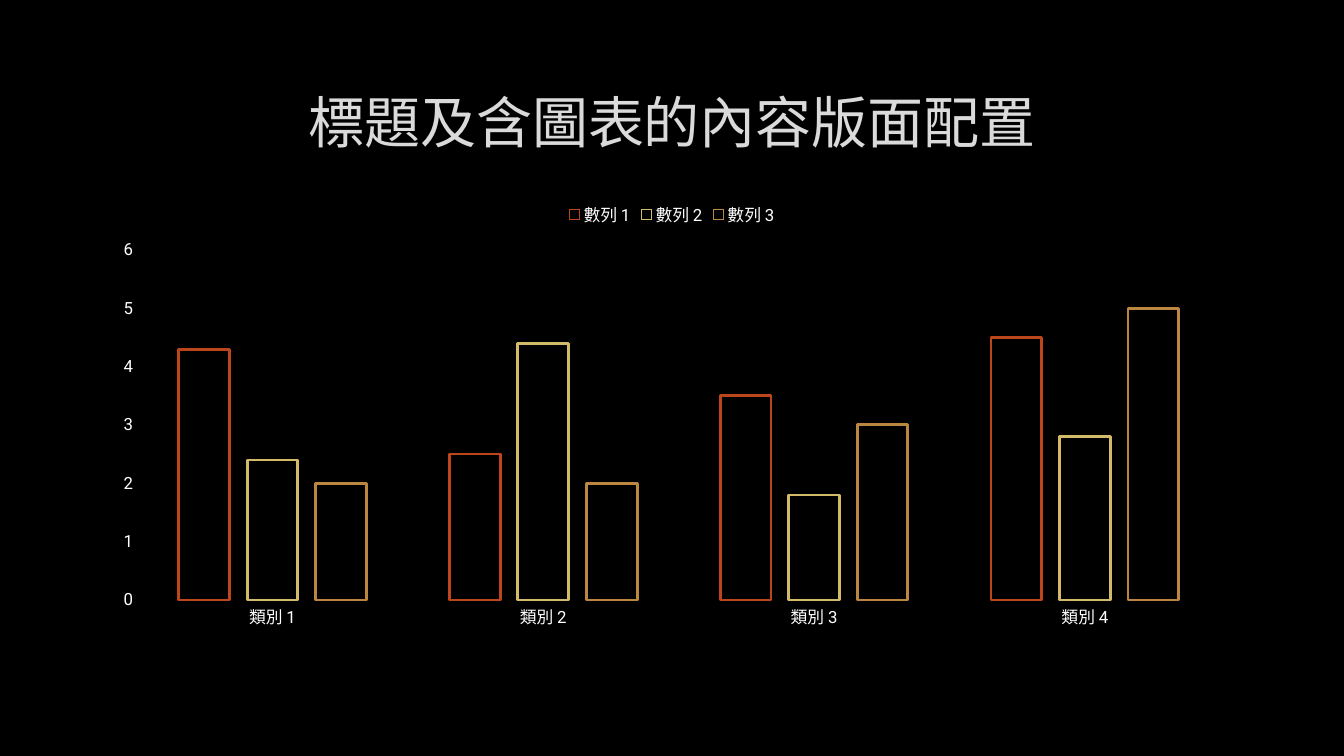
from dataclasses import dataclass
from lxml.etree import SubElement
from pptx import Presentation
from pptx.chart.data import CategoryChartData
from pptx.dml.color import RGBColor as Rgb
from pptx.enum.chart import (XL_CHART_TYPE as ChartType, XL_LEGEND_POSITION as LegendPosition,
                             XL_TICK_MARK as TickMark)
from pptx.enum.text import MSO_ANCHOR as Anchor, PP_ALIGN as Align
from pptx.oxml.ns import qn
from pptx.util import Inches, Pt


@dataclass(frozen=True)
class Theme:
    background: str = "000000"
    title: str = "DADADA"
    outline: str = "404040"
    label: str = "FFFFFF"
    title_font: str = "Lato"
    chart_font: str = "Roboto"
    title_size: int = 40
    label_size: int = 12
    bar_line: float = 2


@dataclass(frozen=True)
class Area:
    """A box given as shares of the slide's width and height."""
    left: float
    top: float
    width: float
    height: float

    def place(self) -> tuple[int, int, int, int]:
        return (int(self.left * deck.slide_width), int(self.top * deck.slide_height),
                int(self.width * deck.slide_width), int(self.height * deck.slide_height))


@dataclass(frozen=True)
class BarSeries:
    name: str
    values: tuple[float, ...]
    line: str


THEME = Theme()
MARGIN = 0.075
CONTENT_WIDTH = 1 - 2 * MARGIN
TITLE_AREA = Area(MARGIN, 0.09, CONTENT_WIDTH, 0.14)
CHART_AREA = Area(MARGIN, 0.252, CONTENT_WIDTH, 0.592)
CATEGORIES = [f"類別 {number}" for number in range(1, 5)]
SERIES = [
    BarSeries("數列 1", (4.3, 2.5, 3.5, 4.5), "BC451B"),
    BarSeries("數列 2", (2.4, 4.4, 1.8, 2.8), "D3BA68"),
    BarSeries("數列 3", (2, 2, 3, 5), "BB8640"),
]


def style_font(font, *, name: str, size: float, color: str) -> None:
    font.name = name
    font.size = Pt(size)
    font.bold = False
    font.color.rgb = Rgb.from_string(color)


def add_text(page, text: str, area: Area, *, font: str, size: float, color: str,
             outline: str, align=Align.CENTER, anchor=Anchor.MIDDLE) -> None:
    box = page.shapes.add_textbox(*area.place())
    frame = box.text_frame
    frame.word_wrap = True
    frame.vertical_anchor = anchor
    para = frame.paragraphs[0]
    para.alignment = align
    span = para.add_run()
    span.text = text
    style_font(span.font, name=font, size=size, color=color)
    # Faint outline around the letters, placed before the fill
    properties = span.font._element
    line = SubElement(properties, qn("a:ln"), w=str(Pt(0.75)))
    properties.insert(0, line)
    tint = SubElement(SubElement(line, qn("a:solidFill")), qn("a:srgbClr"), val=outline)
    SubElement(tint, qn("a:alpha"), val="10000")


def add_bar_chart(page, area: Area, categories: list[str], rows: list[BarSeries]) -> None:
    data = CategoryChartData()
    data.categories = categories
    for row in rows:
        data.add_series(row.name, row.values)
    chart = page.shapes.add_chart(ChartType.COLUMN_CLUSTERED, *area.place(), data).chart
    chart.has_title = False
    label_style = dict(name=THEME.chart_font, size=THEME.label_size, color=THEME.label)
    style_font(chart.font, **label_style)

    # Legend
    chart.has_legend = True
    chart.legend.position = LegendPosition.TOP
    chart.legend.include_in_layout = False
    style_font(chart.legend.font, **label_style)

    # Axes
    for axis in (chart.category_axis, chart.value_axis):
        axis.has_major_gridlines = False
        axis.major_tick_mark = axis.minor_tick_mark = TickMark.NONE
        axis.format.line.fill.background()
        style_font(axis.tick_labels.font, **label_style)
    chart.value_axis.minimum_scale = 0
    chart.value_axis.maximum_scale = 6
    chart.value_axis.major_unit = 1

    # Hollow bars
    plot = chart.plots[0]
    plot.vary_by_categories = False
    plot.gap_width = 164
    plot.overlap = -35
    for series, row in zip(plot.series, rows):
        series.format.fill.background()
        series.format.line.color.rgb = Rgb.from_string(row.line)
        series.format.line.width = Pt(THEME.bar_line)


# Deck and page
deck = Presentation()
deck.slide_width, deck.slide_height = Inches(13.33), Inches(7.5)
page = deck.slides.add_slide(deck.slide_layouts[6])
page.background.fill.solid()
page.background.fill.fore_color.rgb = Rgb.from_string(THEME.background)

# Content
add_text(page, "標題及含圖表的內容版面配置", TITLE_AREA, font=THEME.title_font,
         size=THEME.title_size, color=THEME.title, outline=THEME.outline)
add_bar_chart(page, CHART_AREA, CATEGORIES, SERIES)

deck.save("out.pptx")
